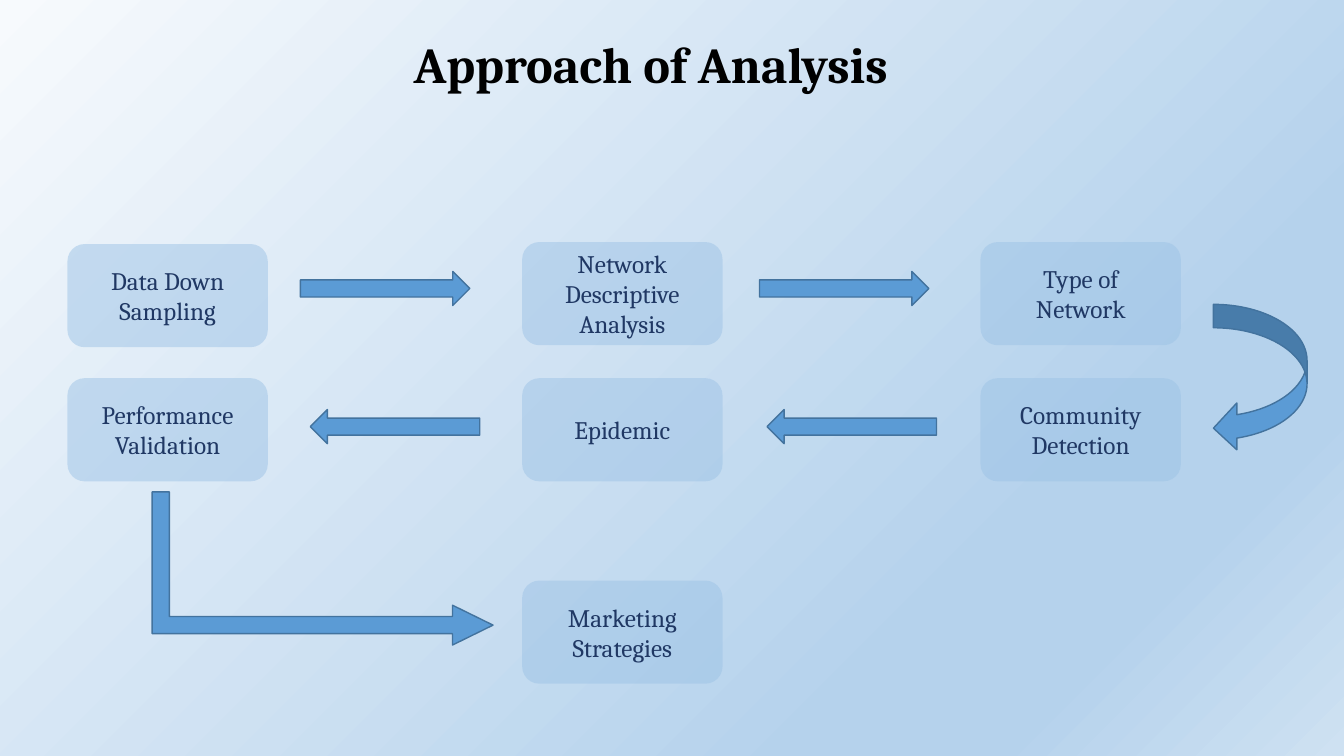
from copy import deepcopy
from typing import NamedTuple

from lxml.etree import SubElement
from pptx import Presentation
from pptx.dml.color import RGBColor
from pptx.enum.shapes import MSO_SHAPE
from pptx.enum.text import MSO_ANCHOR, PP_ALIGN
from pptx.oxml.ns import qn
from pptx.slide import Slide
from pptx.text.text import TextFrame
from pptx.util import Cm, Pt

FONT = "Cambria"
BLACK = RGBColor(0x00, 0x00, 0x00)
NAVY = RGBColor(0x20, 0x38, 0x64)
BOX_BLUE = RGBColor(0x9D, 0xC3, 0xE6)
ARROW_BLUE = RGBColor(0x5B, 0x9B, 0xD5)
ARROW_EDGE = RGBColor(0x43, 0x73, 0x9E)
SKY = RGBColor(0xB5, 0xD2, 0xEC)
BACKGROUND_STOPS = [
    (0, RGBColor(0xF7, 0xFA, 0xFD)),
    (0.74, SKY),
    (0.83, SKY),
    (1, RGBColor(0xCE, 0xE1, 0xF2)),
]

BOX_W, BOX_H = 5.05, 2.6
LEFT, MIDDLE, RIGHT = 1.7, 13.16, 24.71
TOP_ROW, SECOND_ROW, LAST_ROW = 6.1, 9.53, 14.63
ARROW_W, ARROW_H = 4.27, 0.86
FORWARD_Y, BACK_Y = 6.84, 10.32


class Step(NamedTuple):
    text: str
    x: float
    y: float


class Arrow(NamedTuple):
    x: float
    y: float
    w: float = ARROW_W
    h: float = ARROW_H
    kind: MSO_SHAPE = MSO_SHAPE.RIGHT_ARROW
    rotation: float = 0
    adjustments: tuple[float, ...] = ()


STEPS = [
    Step("Data Down Sampling", LEFT, TOP_ROW + 0.05),
    Step("Network Descriptive Analysis", MIDDLE, TOP_ROW),
    Step("Type of Network", RIGHT, TOP_ROW),
    Step("Performance Validation", LEFT, SECOND_ROW),
    Step("Epidemic", MIDDLE, SECOND_ROW),
    Step("Community Detection", RIGHT, SECOND_ROW),
    Step("Marketing Strategies", MIDDLE, LAST_ROW),
]
ARROWS = [
    Arrow(7.57, FORWARD_Y),
    Arrow(19.14, FORWARD_Y),
    Arrow(30.58, 7.67, 2.36, 3.71, MSO_SHAPE.CURVED_LEFT_ARROW),
    Arrow(6.2, 10.03, 3.86, 8.59, MSO_SHAPE.BENT_UP_ARROW, 90, (0.112, 0.13, 0.265)),
    Arrow(7.82, BACK_Y, rotation=180),
    Arrow(19.33, BACK_Y, rotation=180),
]


def paint_background(s: Slide) -> None:
    """Fill the slide with the diagonal blue gradient."""
    fill = s.background.fill
    fill.gradient()
    fill.gradient_angle = 315
    stop_list = s.element.find(".//" + qn("a:gsLst"))
    while len(stop_list) < len(BACKGROUND_STOPS):
        stop_list.append(deepcopy(stop_list[0]))
    for stop, (position, color) in zip(fill.gradient_stops, BACKGROUND_STOPS):
        stop.position = position
        stop.color.rgb = color


def write(tf: TextFrame, text: str, size: float, color: RGBColor, bold: bool = False) -> None:
    """Write one centred, wrapping paragraph."""
    tf.word_wrap = True
    p = tf.paragraphs[0]
    p.alignment = PP_ALIGN.CENTER
    r = p.add_run()
    r.text = text
    r.font.name = FONT
    r.font.size = Pt(size)
    r.font.bold = bold
    r.font.color.rgb = color


def add_step(s: Slide, step: Step) -> None:
    """Draw a half-transparent rounded box with its label."""
    sp = s.shapes.add_shape(
        MSO_SHAPE.ROUNDED_RECTANGLE, Cm(step.x), Cm(step.y), Cm(BOX_W), Cm(BOX_H)
    )
    sp.shadow.inherit = False
    sp.fill.solid()
    sp.fill.fore_color.rgb = BOX_BLUE
    color = sp.element.spPr.find(qn("a:solidFill"))[0]
    SubElement(color, qn("a:alpha"), val="50000")
    sp.line.fill.background()
    sp.text_frame.vertical_anchor = MSO_ANCHOR.MIDDLE
    write(sp.text_frame, step.text, 18, NAVY)


def add_arrow(s: Slide, arrow: Arrow) -> None:
    """Draw a block arrow."""
    sp = s.shapes.add_shape(arrow.kind, Cm(arrow.x), Cm(arrow.y), Cm(arrow.w), Cm(arrow.h))
    sp.rotation = arrow.rotation
    for i, value in enumerate(arrow.adjustments):
        sp.adjustments[i] = value
    sp.shadow.inherit = False
    sp.fill.solid()
    sp.fill.fore_color.rgb = ARROW_BLUE
    sp.line.color.rgb = ARROW_EDGE
    sp.line.width = Pt(1)


def main() -> None:
    """Build the slide and save it."""
    prs = Presentation()
    prs.slide_width, prs.slide_height = Cm(33.87), Cm(19.05)
    s = prs.slides.add_slide(prs.slide_layouts[6])
    paint_background(s)
    title = s.shapes.add_textbox(Cm(0.79), Cm(0.71), Cm(31.22), Cm(1.8))
    write(title.text_frame, "Approach of Analysis", 36, BLACK, bold=True)
    for step in STEPS:
        add_step(s, step)
    for arrow in ARROWS:
        add_arrow(s, arrow)
    prs.save("out.pptx")


if __name__ == "__main__":
    main()
